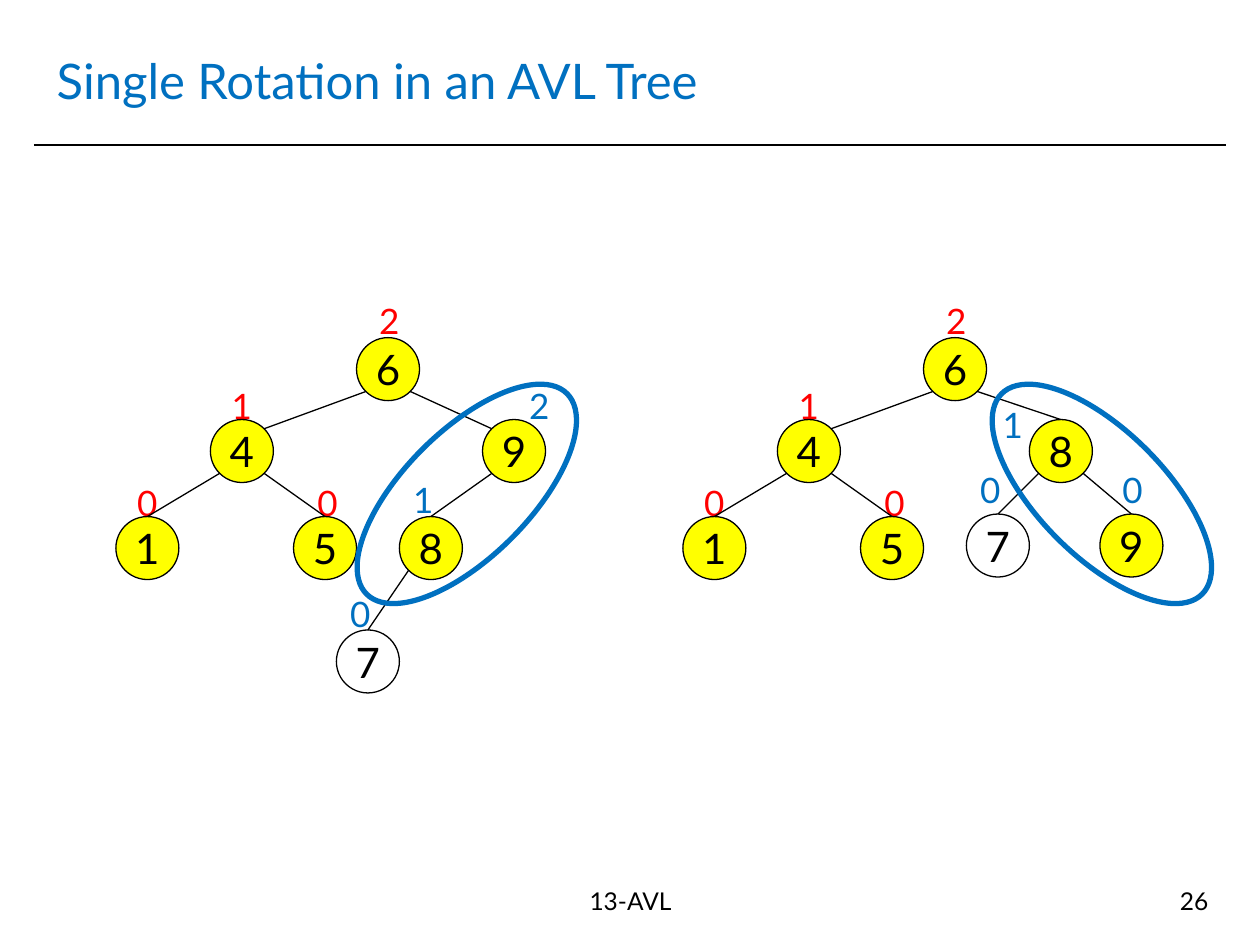
import collections
import pptx
import pptx.dml.color
import pptx.enum.shapes
import pptx.enum.text
import pptx.oxml
import pptx.oxml.ns
import pptx.util
from pptx.util import Inches

BLACK = pptx.dml.color.RGBColor(0x00, 0x00, 0x00)
BLUE = pptx.dml.color.RGBColor(0x00, 0x70, 0xC0)
RED = pptx.dml.color.RGBColor(0xFF, 0x00, 0x00)
YELLOW = pptx.dml.color.RGBColor(0xFF, 0xFF, 0x00)
FONT = "Lato"
ALIGN = pptx.enum.text.PP_ALIGN
ANCHOR = pptx.enum.text.MSO_ANCHOR

NODE_SIZE = 0.5
RADIUS = NODE_SIZE / 2
DIAGONAL = RADIUS * 0.71
TREE_GAP = 4.5  # distance between the trees before and after rotation

# Position of a node, its height and label position, and its parent.
# side is -1 for a left child, 1 for a right child;
# corner edges end on the child's upper corner, others on its top.
Node = collections.namedtuple(
    "Node", "left top height label_left label_top parent side corner color fill",
    defaults=(None, 0, False, BLUE, YELLOW))

UNCHANGED = {
    "6": Node(2.83, 2.68, "2", 2.91, 2.33, color=RED),
    "4": Node(1.67, 3.33, "1", 1.74, 3.00, "6", -1, True, RED),
    "1": Node(0.92, 4.10, "0", 0.99, 3.77, "4", -1, color=RED),
    "5": Node(2.33, 4.10, "0", 2.42, 3.77, "4", 1, color=RED),
}
BEFORE = {
    **UNCHANGED,
    "9": Node(3.83, 3.33, "2", 4.10, 3.00, "6", 1, True),
    "8": Node(3.17, 4.10, "1", 3.18, 3.75, "9", -1),
    "7": Node(2.67, 5.00, "0", 2.68, 4.65, "8", -1, fill=None),
}
AFTER = {
    **UNCHANGED,
    "8": Node(3.67, 3.33, "1", 3.36, 3.15, "6", 1),
    "9": Node(4.23, 4.08, "0", 4.31, 3.67, "8", 1),
    "7": Node(3.17, 4.08, "0", 3.18, 3.67, "8", -1, fill=None),
}


def write(frame, text, size, color, align):
    paragraph = frame.paragraphs[0]
    paragraph.alignment = align
    run = paragraph.add_run()
    run.text = text
    run.font.name = FONT
    run.font.size = pptx.util.Pt(size)
    run.font.color.rgb = color


def add_label(slide, box, text, size, color, align=ALIGN.LEFT, wrap=False):
    label = slide.shapes.add_textbox(*map(Inches, box))
    label.text_frame.word_wrap = wrap
    if not wrap:
        label.text_frame.auto_size = pptx.enum.text.MSO_AUTO_SIZE.SHAPE_TO_FIT_TEXT
    write(label.text_frame, text, size, color, align)


def add_line(slide, start, end, width):
    line = slide.shapes.add_connector(
        pptx.enum.shapes.MSO_CONNECTOR.STRAIGHT, *map(Inches, (*start, *end)))
    line.line.color.rgb = BLACK
    line.line.width = pptx.util.Pt(width)
    properties = line._element.spPr
    properties.append(pptx.oxml.parse_xml(
        "<a:effectLst %s/>" % pptx.oxml.ns.nsdecls("a")))


def add_ellipse(slide, box, fill, color, width):
    ellipse = slide.shapes.add_shape(
        pptx.enum.shapes.MSO_SHAPE.OVAL, *map(Inches, box))
    ellipse.shadow.inherit = False
    if fill is None:
        ellipse.fill.background()
    else:
        ellipse.fill.solid()
        ellipse.fill.fore_color.rgb = fill
    ellipse.line.color.rgb = color
    ellipse.line.width = pptx.util.Pt(width)
    return ellipse


def add_node(slide, value, node, shift):
    add_label(slide, (node.label_left + shift, node.label_top, 0.35, 0.44),
              node.height, 20, node.color)
    circle = add_ellipse(slide, (node.left + shift, node.top, NODE_SIZE, NODE_SIZE),
                         node.fill, BLACK, 0.75)
    circle.text_frame.word_wrap = False
    circle.text_frame.vertical_anchor = ANCHOR.MIDDLE
    write(circle.text_frame, value, 24, BLACK, ALIGN.CENTER)


def add_edge(slide, parent, child, shift):
    start = (parent.left + RADIUS + child.side * DIAGONAL + shift,
             parent.top + RADIUS + DIAGONAL)
    end_x = child.left + RADIUS + shift
    if child.corner:
        end = (end_x - child.side * DIAGONAL, child.top + RADIUS - DIAGONAL)
    else:
        end = (end_x, child.top)
    add_line(slide, start, end, 0.75)


def add_tree(slide, nodes, shift):
    for value, node in nodes.items():
        add_node(slide, value, node, shift)
        if node.parent:
            add_edge(slide, nodes[node.parent], node, shift)


def add_rotation_ring(slide, left, angle):
    ring = add_ellipse(slide, (left, 3.42, 2.25, 1), None, BLUE, 3)
    ring.rotation = angle


def add_title(slide, text):
    title = slide.shapes.title
    title.left, title.top = Inches(0.35), Inches(0.21)
    title.width, title.height = Inches(9.29), Inches(0.85)
    title.text_frame.vertical_anchor = ANCHOR.MIDDLE
    write(title.text_frame, text, 28, BLUE, ALIGN.LEFT)


def main():
    deck = pptx.Presentation()
    deck.slide_width, deck.slide_height = Inches(10), Inches(7.5)
    slide = deck.slides.add_slide(deck.slide_layouts[5])

    # Heading and rule
    add_title(slide, "Single Rotation in an AVL Tree")
    add_line(slide, (0.27, 1.15), (9.73, 1.15), 1)

    # Trees before and after the rotation, with the rotated pair ringed
    add_tree(slide, BEFORE, 0)
    add_tree(slide, AFTER, TREE_GAP)
    add_rotation_ring(slide, 2.58, 315)
    add_rotation_ring(slide, 7.62, 45)

    # Footer
    add_label(slide, (3.35, 6.98, 3.31, 0.52), "13-AVL", 14, BLACK, ALIGN.CENTER, True)
    add_label(slide, (7.36, 6.98, 2.33, 0.52), "26", 14, BLACK, ALIGN.RIGHT, True)

    deck.save("out.pptx")


if __name__ == "__main__":
    main()
